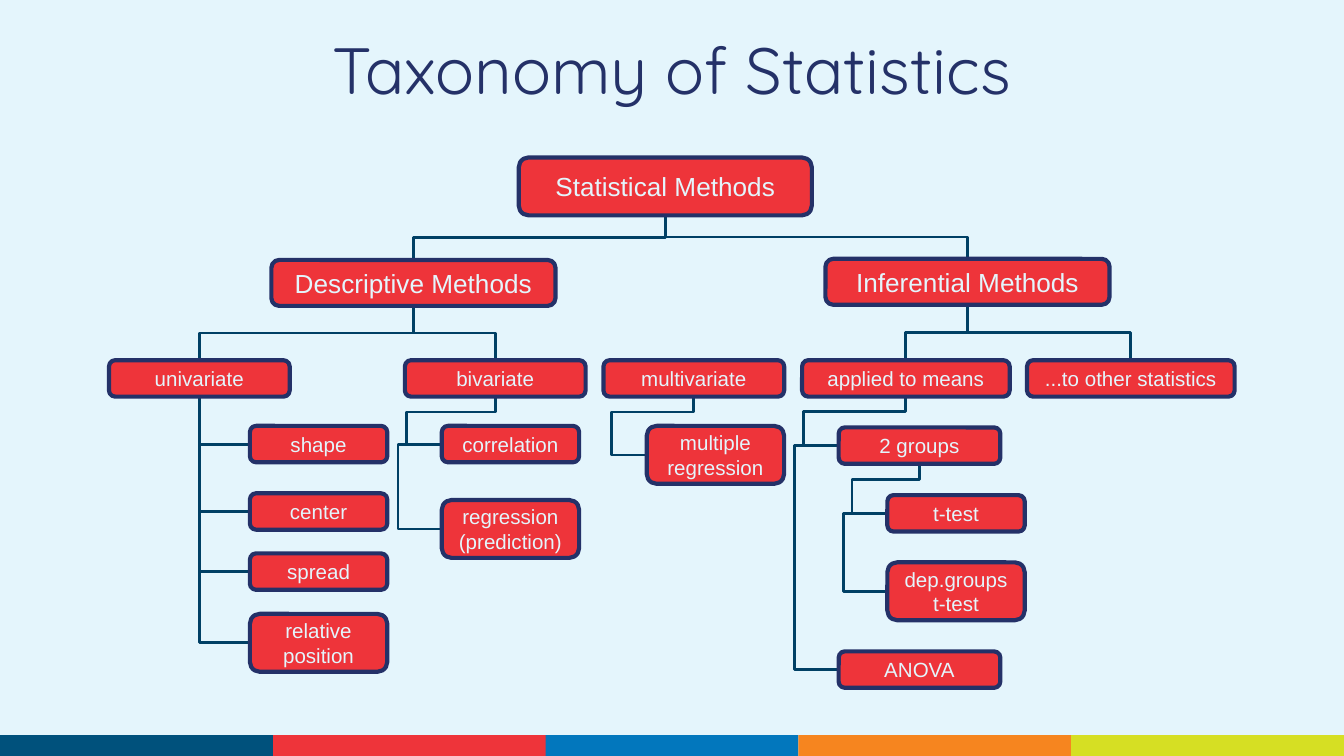
"""Build a slide with a tree of statistical methods."""
from dataclasses import dataclass

from lxml.etree import SubElement
from pptx import Presentation
from pptx.dml.color import RGBColor as Rgb
from pptx.enum.shapes import MSO_CONNECTOR as Link, MSO_SHAPE as Form
from pptx.enum.text import MSO_ANCHOR as Anchor, PP_ALIGN as Align
from pptx.oxml.ns import qn
from pptx.util import Pt

HUES = {
    "back": "E4F5FC", "navy": "243168", "red": "EE343A", "line": "004065",
    "teal": "00517C", "blue": "0277BD", "gold": "F6851F", "lime": "D6DF23",
}
LOW, TALL, MID = 19.5, 31, 24.6
ROW, TOP = 193, 228.2
OUT, FAR, STEM = 19, 23, 8.2
THIN = 0.5


@dataclass(frozen=True)
class Node:
    """A box of the tree, with lengths in points."""
    text: str
    left: float
    top: float
    width: float
    height: float = LOW
    size: int = 11

    @property
    def mid(self) -> float:
        return self.left + self.width / 2

    @property
    def level(self) -> float:
        return self.top + self.height / 2

    @property
    def foot(self) -> float:
        return self.top + self.height


@dataclass(frozen=True)
class Band:
    """A colour block of the bottom strip."""
    left: float
    hue: str


BANDS = [Band(281.5, "blue"), Band(146.2, "red"), Band(427.7, "gold"),
         Band(573.8, "lime"), Band(0, "teal")]

NODES = [
    Node("Statistical Methods", 277.9, 84.4, 157, TALL, 14),
    Node("Descriptive Methods", 145.4, 139.3, 152.2, MID, 14),
    Node("Inferential Methods", 442.2, 138.7, 152.2, MID, 14),
    Node("univariate", 58.4, ROW, 96.8),
    Node("bivariate", 216.9, ROW, 96.8),
    Node("multivariate", 323.3, ROW, 96.8),
    Node("applied to means", 429.7, ROW, 111.2),
    Node("...to other statistics", 550.2, ROW, 111.2),
    Node("shape", 133.9, TOP, 73.6),
    Node("center", 133.9, 264.3, 73.6),
    Node("spread", 133.9, 296.5, 73.6),
    Node("relative position", 133.9, 328.9, 73.6, TALL),
    Node("correlation", 236.7, TOP, 73.6),
    Node("regression (prediction)", 236.7, 267.9, 73.6, TALL),
    Node("multiple regression", 346.5, TOP, 73.6, TALL),
    Node("2 groups", 449.3, 229, 86.6),
    Node("t-test", 475.4, 265.3, 73.6),
    Node("dep.groups t-test", 475.4, 301.3, 73.6, TALL),
    Node("ANOVA", 449.3, 349, 86.6),
]

FORKS = {
    "Statistical Methods": ["Descriptive Methods", "Inferential Methods"],
    "Descriptive Methods": ["univariate", "bivariate"],
    "Inferential Methods": ["applied to means", "...to other statistics"],
}
DROPS = {"univariate": ["shape", "center", "spread", "relative position"]}
HOOKS = {
    "bivariate": ["correlation", "regression (prediction)"],
    "multivariate": ["multiple regression"],
    "applied to means": ["2 groups", "ANOVA"],
    "2 groups": ["t-test", "dep.groups t-test"],
}


def paint(hue: str) -> Rgb:
    """Return a named colour."""
    return Rgb.from_string(HUES[hue])


def write(shape, text: str, *, size: int, font: str, hue: str) -> None:
    """Put centred text in a shape."""
    frame = shape.text_frame
    frame.word_wrap = True
    frame.vertical_anchor = Anchor.MIDDLE
    frame.margin_left = frame.margin_right = Pt(7.2)
    frame.margin_top = frame.margin_bottom = Pt(7.2)
    line = frame.paragraphs[0]
    line.alignment = Align.CENTER
    run = line.add_run()
    run.text = text
    run.font.size, run.font.name = Pt(size), font
    run.font.color.rgb = paint(hue)


def block(slide, form, left: float, top: float, width: float,
          height: float, hue: str):
    """Add a filled shape with no outline."""
    shape = slide.shapes.add_shape(form, Pt(left), Pt(top), Pt(width), Pt(height))
    shape.shadow.inherit = False
    shape.fill.solid()
    shape.fill.fore_color.rgb = paint(hue)
    shape.line.fill.background()
    return shape


def box(slide, node: Node) -> None:
    """Draw one box of the tree."""
    shape = block(slide, Form.ROUNDED_RECTANGLE, node.left, node.top,
                  node.width, node.height, "red")
    shape.adjustments[0] = 0.17
    shape.line.fill.solid()
    shape.line.fill.fore_color.rgb = paint("navy")
    shape.line.width = Pt(2.25)
    write(shape, node.text, size=node.size, font="Arial", hue="back")


def elbow(slide, start: tuple[float, float], end: tuple[float, float],
          bends: int, *ratios: float, turn: bool = True) -> None:
    """Draw a bent line that leaves downward, or sideways without a turn."""
    (x, y), (far, low) = start, end
    right = far >= x
    if turn:
        wide, high = low - y, abs(far - x)
        left, top = (x + far - wide) / 2, (y + low - high) / 2
        x, far = (left + wide, left) if right else (left, left + wide)
        y, low = top, top + high
    link = slide.shapes.add_connector(Link.ELBOW, Pt(x), Pt(y), Pt(far), Pt(low))
    link.line.color.rgb = paint("line")
    link.line.width = Pt(1.5)
    props = link.element.spPr
    if turn:
        props.find(qn("a:xfrm")).set("rot", str((270 if right else 90) * 60000))
    shape = props.find(qn("a:prstGeom"))
    shape.set("prst", f"bentConnector{bends}")
    guides = shape.find(qn("a:avLst"))
    for rank, ratio in enumerate(ratios, 1):
        SubElement(guides, qn("a:gd"), name=f"adj{rank}",
                   fmla=f"val {round(ratio * 100000)}")
    SubElement(props, qn("a:effectLst"))


def hook(slide, head: Node, kids: list[Node]) -> None:
    """Lead from a box round to its first child, then on to the last."""
    first, last = kids[0], kids[-1]
    span = head.mid - first.left
    elbow(slide, (head.mid, head.foot), (first.left, first.level), 4,
          STEM / (first.level - head.foot), (span + OUT) / span)
    if last != first:
        elbow(slide, (first.left, first.level), (last.left + THIN, last.level),
              3, -FAR / THIN, turn=False)


def main() -> None:
    """Build and save the slide."""
    deck = Presentation()
    deck.slide_width, deck.slide_height = Pt(720), Pt(405)
    slide = deck.slides.add_slide(deck.slide_layouts[5])
    slide.background.fill.solid()
    slide.background.fill.fore_color.rgb = paint("back")
    title = slide.shapes.title
    title.left, title.top, title.width, title.height = map(Pt, (123.8, 13, 472.4, 46.8))
    write(title, "Taxonomy of Statistics", size=35, font="Quicksand", hue="navy")

    for band in BANDS:
        block(slide, Form.RECTANGLE, band.left, 393.8, 146.2, 11.2, band.hue)

    nodes = {node.text: node for node in NODES}
    for name, kids in FORKS.items():
        for kid in map(nodes.get, kids):
            head = nodes[name]
            elbow(slide, (head.mid, head.foot), (kid.mid, kid.top), 3, 0.5)
    for name, kids in DROPS.items():
        for kid in map(nodes.get, kids):
            head = nodes[name]
            elbow(slide, (head.mid, head.foot), (kid.left, kid.level), 2)
    for name, kids in HOOKS.items():
        hook(slide, nodes[name], [nodes[kid] for kid in kids])
    for node in NODES:
        box(slide, node)
    deck.save("out.pptx")


if __name__ == "__main__":
    main()
